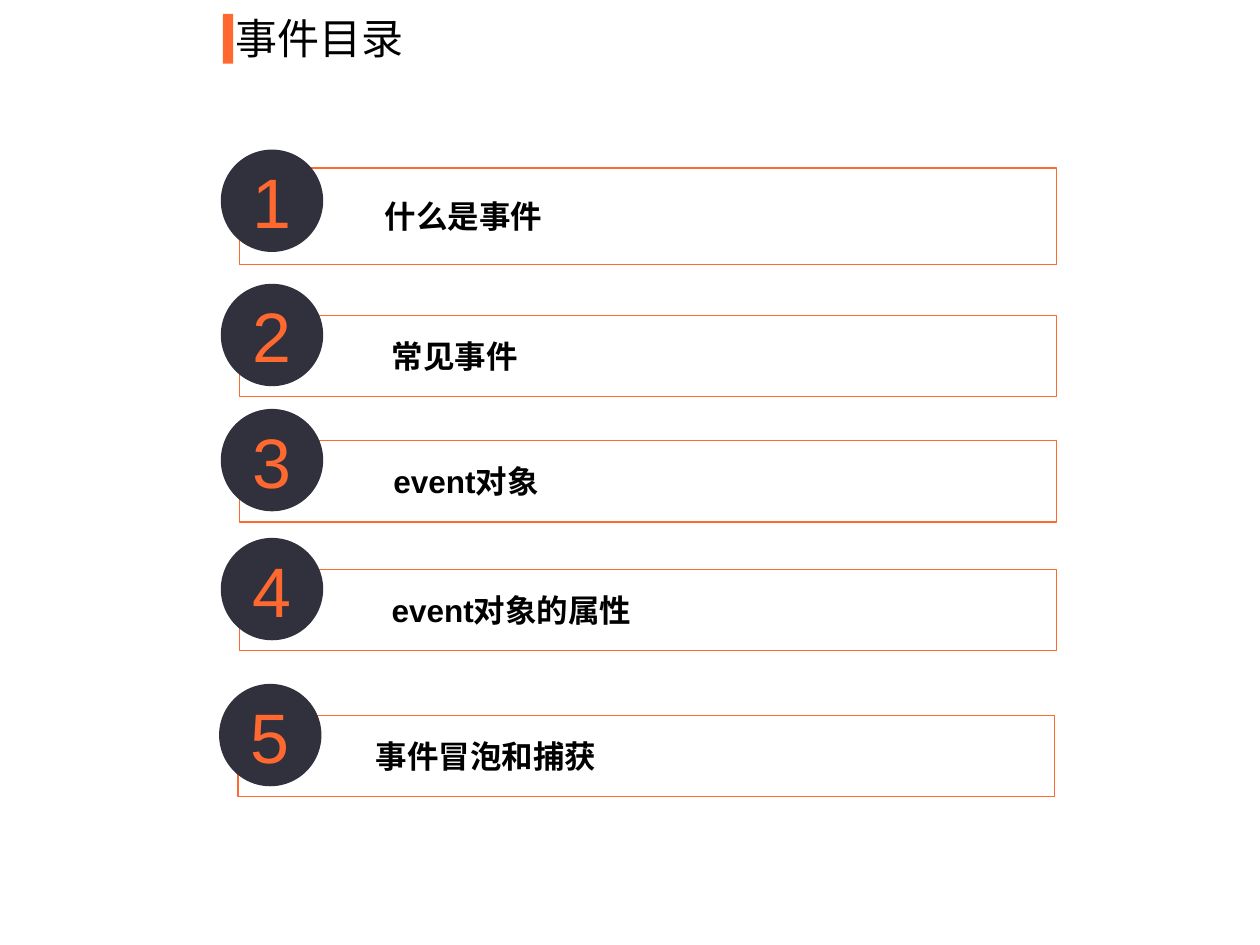
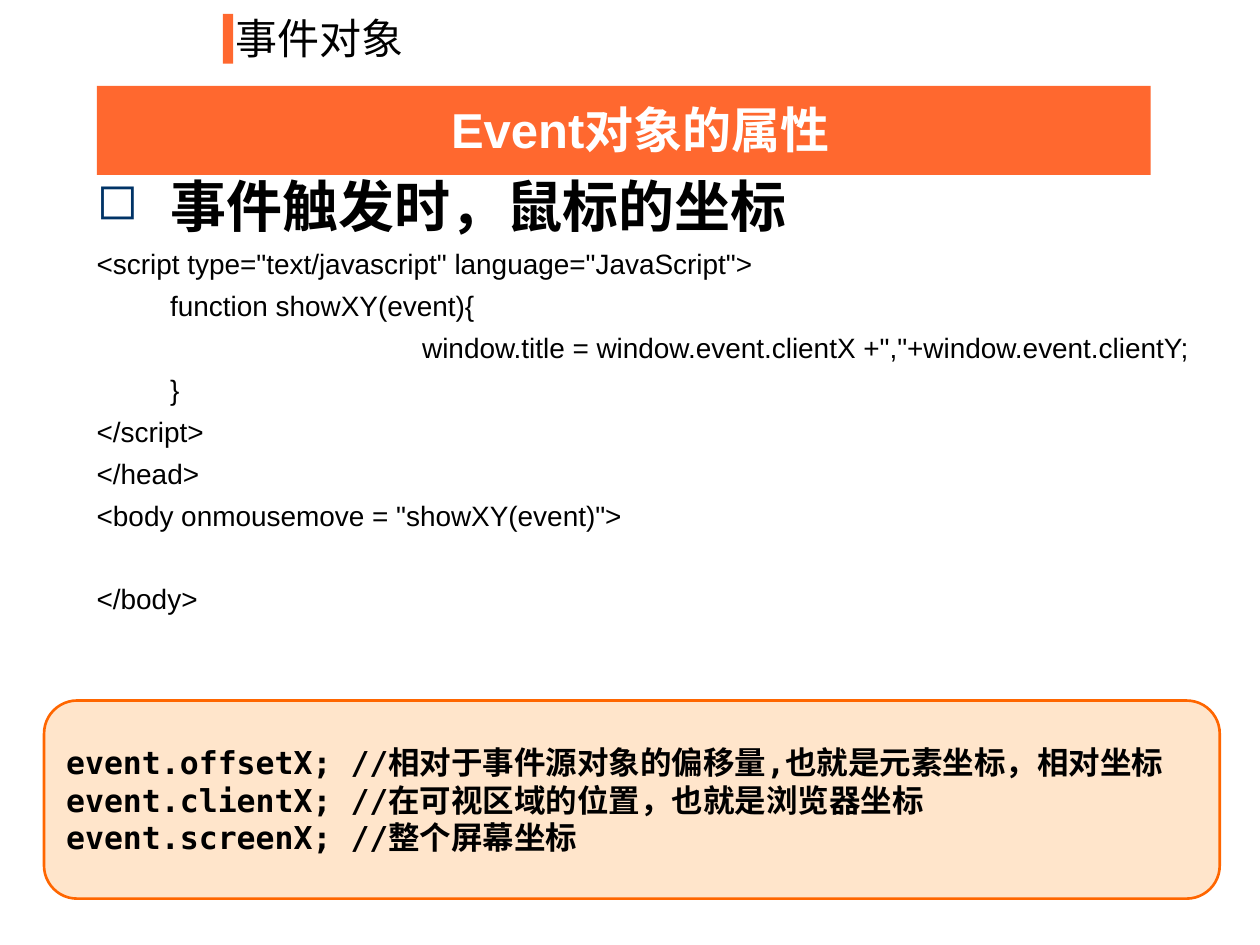
from lxml import etree
from pptx import Presentation
from pptx.dml.color import RGBColor
from pptx.enum.shapes import MSO_SHAPE
from pptx.enum.text import MSO_ANCHOR, MSO_AUTO_SIZE, PP_ALIGN
from pptx.oxml.ns import qn
from pptx.util import Pt

RECTANGLE = MSO_SHAPE.RECTANGLE
ROUNDED = MSO_SHAPE.ROUNDED_RECTANGLE
OVAL = MSO_SHAPE.OVAL
LEFT, CENTER = PP_ALIGN.LEFT, PP_ALIGN.CENTER
TOP, MIDDLE = MSO_ANCHOR.TOP, MSO_ANCHOR.MIDDLE
FIT_SHAPE = MSO_AUTO_SIZE.SHAPE_TO_FIT_TEXT

ORANGE = RGBColor(0xFF, 0x68, 0x2F)
DARK = RGBColor(0x30, 0x31, 0x3C)
WHITE = RGBColor(0xFF, 0xFF, 0xFF)
BLACK = RGBColor(0, 0, 0)
PEACH = RGBColor(0xFF, 0xCC, 0x99)
NOTE_BORDER = RGBColor(0xFF, 0x66, 0x00)
BULLET_BLUE = "003366"

SANS = "Arial"
CJK = "Noto Sans CJK SC"
MONO = "DejaVu Sans Mono"

# Text, box top, box height, circle top, text indent, shift to the right
CONTENTS = [
    ("什么是事件", 96, 55, 85.5, 36, 0),
    ("常见事件", 180.2, 46.6, 162.2, 40, 0),
    ("event对象", 251.7, 46.6, 233.7, 41, 0),
    ("event对象的属性", 325.3, 46.6, 307.4, 40, 0),
    ("事件冒泡和捕获", 408.7, 46.6, 390.8, 32, -1),
]

HANGING = 42
# Text, left indent, space before
CODE = [
    ('<script type="text/javascript" language="JavaScript">', 0, 4.8),
    ("function showXY(event){", HANGING, 4.8),
    ('window.title = window.event.clientX +","+window.event.clientY;', 186, 4.8),
    ("}", HANGING, 4.8),
    ("</script>", 0, 4.8),
    ("</head>", 0, 4.8),
    ('<body onmousemove = "showXY(event)">', 0, 4.8),
    ("</body>", 0, 28),
]

COORDINATES = [
    "event.offsetX; //相对于事件源对象的偏移量,也就是元素坐标，相对坐标",
    "event.clientX; //在可视区域的位置，也就是浏览器坐标",
    "event.screenX; //整个屏幕坐标",
]


def add_child(parent, tag, **attributes):
    """Append a drawing element with attributes and return it."""
    return etree.SubElement(parent, qn(tag), attributes)


def write(frame, text, size=18, font=SANS, color=BLACK, bold=False,
          align=LEFT, indent=0, hanging=0, before=0):
    """Write one formatted paragraph, using the empty first one if there is one."""
    paragraph = frame.paragraphs[0]
    if paragraph.runs:
        paragraph = frame.add_paragraph()
    paragraph.alignment = align
    paragraph.space_before = Pt(before)
    properties = paragraph._p.get_or_add_pPr()
    properties.set("marL", str(Pt(indent)))
    properties.set("indent", str(Pt(-hanging)))
    run = paragraph.add_run()
    run.text = text
    run.font.size = Pt(size)
    run.font.bold = bold
    run.font.color.rgb = color
    run.font.name = font
    add_child(run._r.get_or_add_rPr(), "a:ea", typeface=CJK)
    return paragraph


def set_bullet(paragraph, character, color, percent):
    """Give a paragraph a coloured bullet character."""
    properties = paragraph._p.get_or_add_pPr()
    add_child(add_child(properties, "a:buClr"), "a:srgbClr", val=color)
    add_child(properties, "a:buSzPct", val=str(percent * 1000))
    add_child(properties, "a:buChar", char=character)


def set_frame(frame, anchor=TOP, wrap=True, margins=(7.2, 3.6, 7.2, 3.6)):
    """Set anchor, wrapping and the left, top, right and bottom margins."""
    frame.word_wrap = wrap
    frame.vertical_anchor = anchor
    (frame.margin_left, frame.margin_top,
     frame.margin_right, frame.margin_bottom) = map(Pt, margins)


def add_shape(slide, kind, left, top, width, height, fill,
              opacity=100, line=None, line_width=0.75):
    """Add a flat preset shape, outlined only if a line colour is given."""
    shape = slide.shapes.add_shape(kind, Pt(left), Pt(top), Pt(width), Pt(height))
    shape.shadow.inherit = False
    shape.fill.solid()
    shape.fill.fore_color.rgb = fill
    if opacity < 100:
        color = shape.fill._xPr.find(qn("a:solidFill"))[0]
        add_child(color, "a:alpha", val=str(opacity * 1000))
    if line is None:
        shape.line.fill.background()
    else:
        shape.line.color.rgb = line
        shape.line.width = Pt(line_width)
    return shape


def add_text_box(slide, left, top, width, height):
    """Add a wrapping text box and return its text frame."""
    box = slide.shapes.add_textbox(Pt(left), Pt(top), Pt(width), Pt(height))
    set_frame(box.text_frame)
    box.text_frame.auto_size = FIT_SHAPE
    return box.text_frame


def add_titled_slide(presentation, title):
    """Add a blank slide with the orange marker and its title."""
    slide = presentation.slides.add_slide(presentation.slide_layouts[6])
    add_shape(slide, RECTANGLE, 127.4, 8, 5.8, 28.4, ORANGE)
    write(add_text_box(slide, 127.4, 3.6, 290, 36), title, size=24, font=CJK)
    return slide


def add_contents_row(slide, number, text, top, height, circle_top, indent, shift):
    """Add an outlined entry with its numbered circle."""
    box = add_shape(slide, RECTANGLE, 137 + shift, top, 466.8, height, WHITE,
                    opacity=40, line=ORANGE)
    set_frame(box.text_frame, MIDDLE, margins=(46.8, 5.8, 5.8, 5.8))
    write(box.text_frame, text, bold=True, indent=indent)
    circle = add_shape(slide, OVAL, 126.2 + shift, circle_top, 58.5, 58.5, DARK)
    set_frame(circle.text_frame, MIDDLE)
    write(circle.text_frame, str(number), size=40, color=ORANGE, align=CENTER)


def build_contents(presentation):
    """Build the list of topics."""
    slide = add_titled_slide(presentation, "事件目录")
    for number, row in enumerate(CONTENTS, 1):
        add_contents_row(slide, number, *row)


def build_event_object(presentation):
    """Build the slide on mouse coordinates with code and a note."""
    slide = add_titled_slide(presentation, "事件对象")
    add_shape(slide, RECTANGLE, 55.4, 49, 602.2, 51, ORANGE)
    write(add_text_box(slide, 93.6, 53.3, 544.3, 41), "Event对象的属性",
          size=28, color=WHITE, bold=True, align=CENTER)

    body = add_text_box(slide, 48.2, 94.3, 640.8, 273.6)
    heading = write(body, "事件触发时，鼠标的坐标", size=32, bold=True,
                    indent=HANGING, hanging=HANGING, before=8)
    set_bullet(heading, "◻", BULLET_BLUE, 90)
    for text, indent, before in CODE:
        write(body, text, size=16, indent=indent, before=before)

    note = add_shape(slide, ROUNDED, 25.2, 400.3, 671.8, 113.2, PEACH,
                     opacity=50, line=NOTE_BORDER, line_width=1.5)
    set_frame(note.text_frame, MIDDLE, wrap=False)
    for text in COORDINATES:
        write(note.text_frame, text, font=MONO, bold=True)


def main():
    """Build and save the presentation."""
    presentation = Presentation()
    presentation.slide_width = Pt(720)
    presentation.slide_height = Pt(540)
    build_contents(presentation)
    build_event_object(presentation)
    presentation.save("out.pptx")


main()
